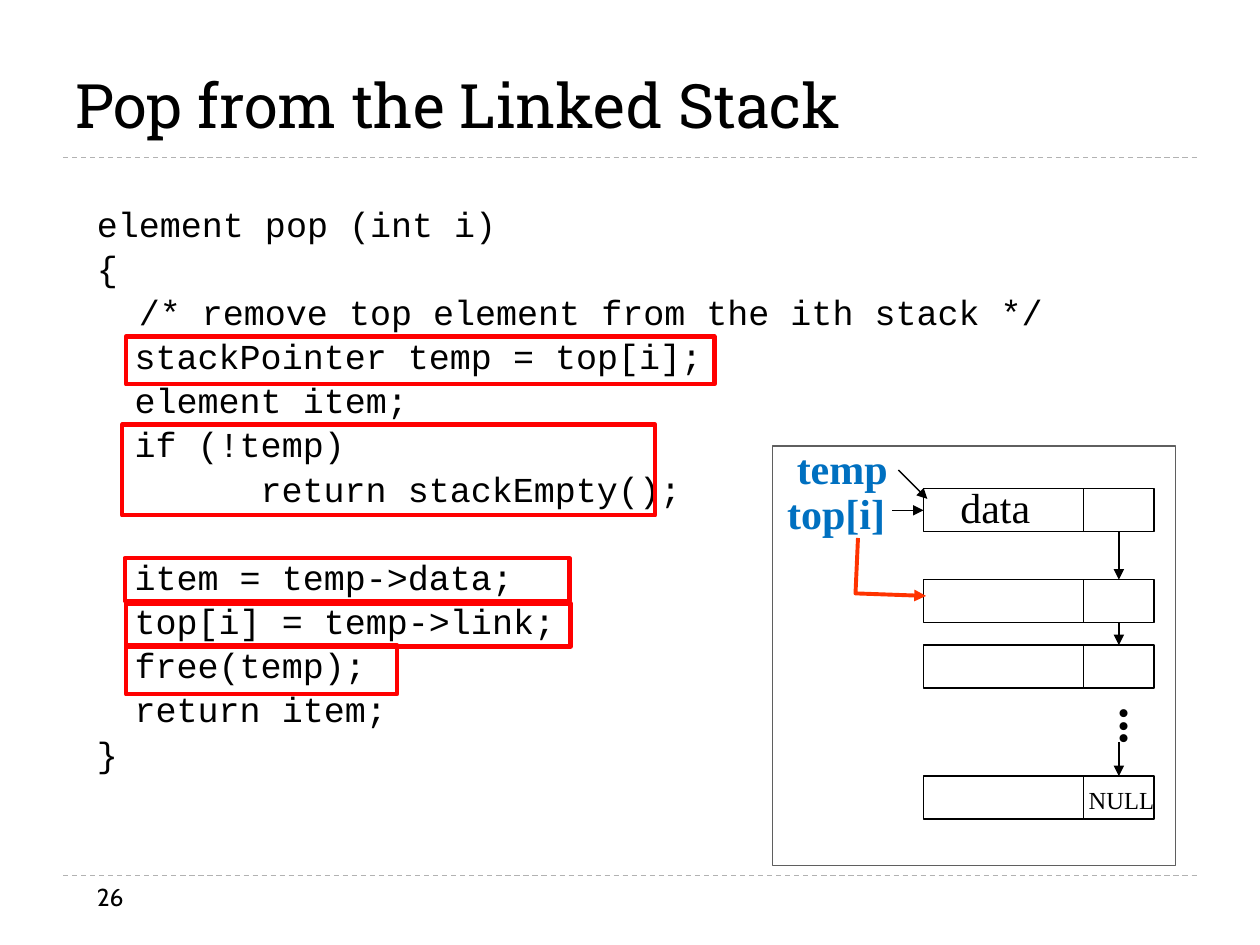
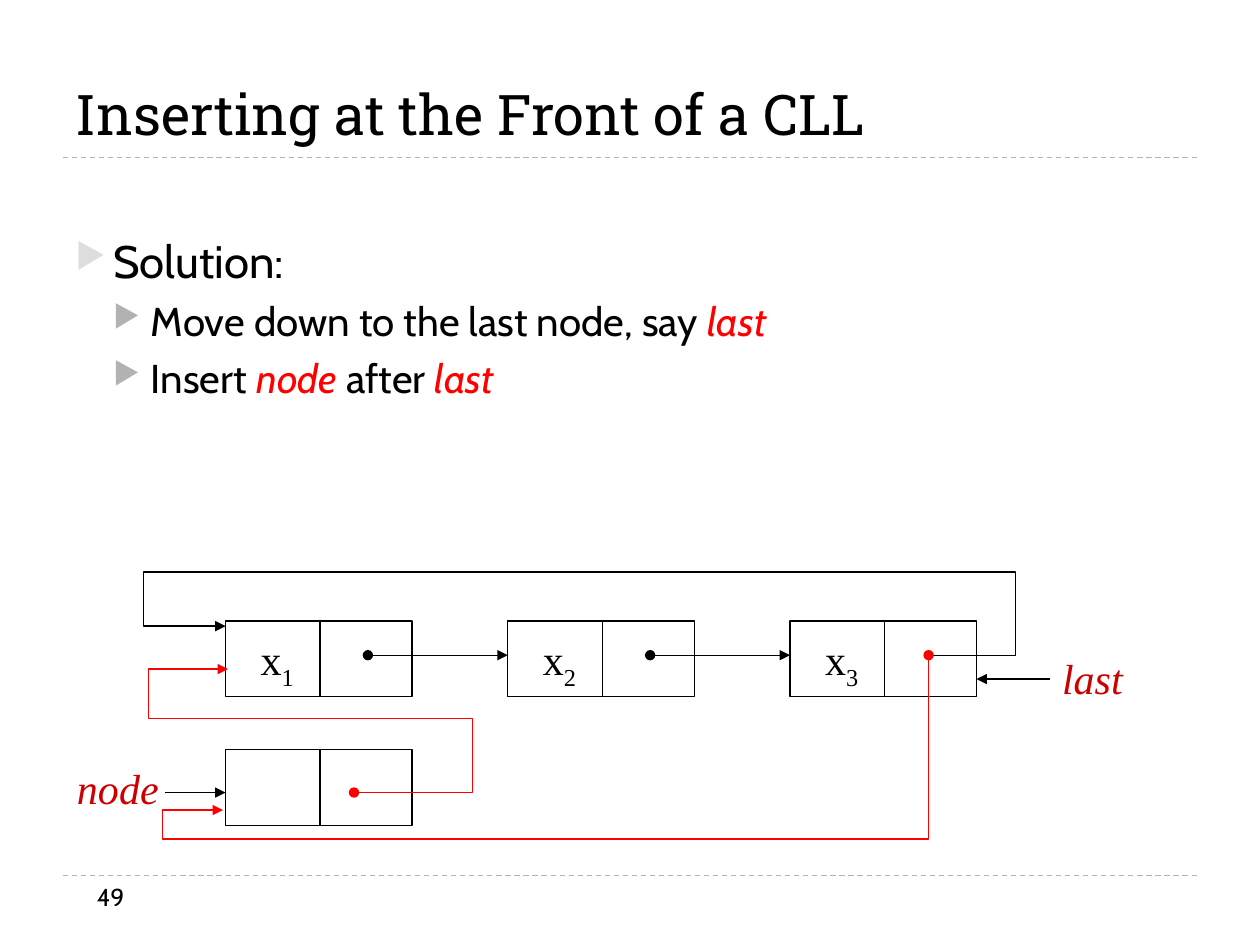
from dataclasses import dataclass
from itertools import pairwise

from lxml import etree
from pptx import Presentation
from pptx.dml.color import RGBColor
from pptx.enum import dml, shapes, text
from pptx.oxml import ns
from pptx.util import Emu, Inches, Pt

COLORS = {
    "ink": "000000", "rule": "B2B2B2", "frame": "5F5F5F", "pale": "DDDDDD",
    "red": "FF0000", "orange": "FF3300", "blue": "0070C0", "crimson": "CC0000",
}
TITLE, BODY, CODE, SERIF = "Roboto Slab", "Cabin", "Courier New", "Times New Roman"

prs = Presentation()
prs.slide_width, prs.slide_height = Inches(10), Inches(7.5)
COL, ROW = prs.slide_width / 100, prs.slide_height / 75  # grid of 100 by 75


@dataclass
class Box:
    col: float
    row: float
    cols: float
    rows: float

    def emu(self) -> list[Emu]:
        return [Emu(round(n)) for n in
                (self.col * COL, self.row * ROW, self.cols * COL, self.rows * ROW)]


@dataclass
class Run:
    text: str
    size: float
    font: str
    color: str = "ink"
    bold: bool = False
    italic: bool = False
    subscript: bool = False


@dataclass
class Para:
    runs: list[Run]
    before: float = 0
    spacing: float = 1.0
    margin: float = 0  # columns
    hang: float = 0  # columns
    bullet: str = ""  # bullet colour


@dataclass
class Stroke:
    color: str = "ink"
    width: float = 0.75
    head: str = ""
    tail: str = ""
    dash: bool = False


ARROW = Stroke(tail="triangle")


def rgb(name: str) -> RGBColor:
    return RGBColor.from_string(COLORS[name])


def sub(parent, tag: str, **attrs: str):
    return etree.SubElement(parent, ns.qn(tag), attrs)


# Lines and shapes
def stroke(sp, st: Stroke) -> None:
    sp.line.color.rgb = rgb(st.color)
    sp.line.width = Pt(st.width)
    if st.dash:
        sp.line.dash_style = dml.MSO_LINE.DASH
    ln = sp.line._get_or_add_ln()
    for tag, kind in (("a:headEnd", st.head), ("a:tailEnd", st.tail)):
        if kind:
            sub(ln, tag, type=kind)


def rect(s, box: Box, st: Stroke = Stroke()):
    sp = s.shapes.add_shape(shapes.MSO_SHAPE.RECTANGLE, *box.emu())
    sp.shadow.inherit = False
    sp.fill.background()
    stroke(sp, st)
    return sp


def line(s, start: tuple, end: tuple, st: Stroke = Stroke(), begin_at=None, end_at=None):
    points = [Emu(round(n)) for c, r in (start, end) for n in (c * COL, r * ROW)]
    sp = s.shapes.add_connector(shapes.MSO_CONNECTOR.STRAIGHT, *points)
    if begin_at:
        sp.begin_connect(*begin_at)
    if end_at:
        sp.end_connect(*end_at)
    stroke(sp, st)
    sub(sp._element.spPr, "a:effectLst")
    return sp


def path(s, points: list[tuple], st: Stroke) -> None:
    dots = [(round(c * COL), round(r * ROW)) for c, r in points]
    fb = s.shapes.build_freeform(*dots[0])
    fb.add_line_segments(dots[1:], close=False)
    sp = fb.convert_to_shape()
    sp.shadow.inherit = False
    sp.fill.background()
    stroke(sp, st)


# Text
def write(p, para: Para) -> None:
    formats = {"space_before": Pt(para.before), "line_spacing": para.spacing}
    for name, value in formats.items():
        setattr(p, name, value)
    pPr = p._p.get_or_add_pPr()
    pPr.set("marL", str(round(para.margin * COL)))
    pPr.set("indent", str(round(-para.hang * COL)))
    if para.bullet:
        sub(sub(pPr, "a:buClr"), "a:srgbClr", val=COLORS[para.bullet])
        sub(pPr, "a:buSzPct", val="76000")
        sub(pPr, "a:buChar", char="▶")
    for run in para.runs:
        r = p.add_run()
        r.text = run.text
        formats = {"size": Pt(run.size), "name": run.font,
                   "bold": run.bold, "italic": run.italic}
        for name, value in formats.items():
            setattr(r.font, name, value)
        r.font.color.rgb = rgb(run.color)
        if run.subscript:
            r.font._element.set("baseline", "-25000")


def text_box(s, box: Box, paras: list[Para], anchor=text.MSO_ANCHOR.TOP):
    sp = s.shapes.add_textbox(*box.emu())
    tf = sp.text_frame
    tf.word_wrap = True
    tf.vertical_anchor = anchor
    for i, para in enumerate(paras):
        write(tf.add_paragraph() if i else tf.paragraphs[0], para)
    return sp


def label(s, box: Box, *runs: Run):
    sp = text_box(s, box, [Para(list(runs))])
    tf = sp.text_frame
    tf.word_wrap = False
    tf.auto_size = text.MSO_AUTO_SIZE.SHAPE_TO_FIT_TEXT
    tf.paragraphs[0].alignment = text.PP_ALIGN.CENTER
    return sp


def new_slide(title: str, size: float, title_box: Box, number: int):
    s = prs.slides.add_slide(prs.slide_layouts[6])
    for row in (69.5, 12.5):
        line(s, (5, row), (95, row), Stroke("rule", dash=True))
    text_box(s, title_box, [Para([Run(title, size, TITLE)])], text.MSO_ANCHOR.BOTTOM)
    text_box(s, Box(6.7, 69.5, 21.7, 4), [Para([Run(str(number), 14, BODY)])])
    return s


# Slide 1: pop
CODE_LINES = [  # text, margin in columns, space before
    ("element pop (int i)", 0, 6),
    ("{", 0, 6),
    ("/* remove top element from the ith stack */", 3.33, 6),
    ("stackPointer temp = top[i];", 3, 6),
    ("element item;", 3, 6),
    ("if (!temp)", 3, 6),
    ("return stackEmpty();", 13, 6),
    ("item = temp->data;", 3, 31.25),
    ("top[i] = temp->link;", 3, 6),
    ("free(temp);", 3, 6),
    ("return item;", 3, 6),
    ("}", 0, 6),
]
HIGHLIGHTS = [
    Box(10, 26.7, 46.7, 3.8), Box(10, 47.9, 35.3, 3.4), Box(10, 51.2, 21.5, 3.9),
    Box(9.7, 33.7, 42.3, 7.2), Box(9.9, 44.3, 35.3, 3.4),
]


def pop_slide() -> None:
    s = new_slide("Pop from the Linked Stack", 35, Box(5, 2.2, 90, 9.5), 26)
    text_box(s, Box(6.7, 16.2, 78.8, 48.5),
             [Para([Run(code, 20, CODE)], before, 0.8, margin)
              for code, margin, before in CODE_LINES])

    # Stack cells and their links
    rect(s, Box(61.3, 35.4, 32, 33.3), Stroke("frame"))
    data_cells, link_cells = [], []
    for row in (38.8, 46, 51.2, 61.6):
        data_cells.append(rect(s, Box(73.3, row, 12.7, 3.4)))
        link_cells.append(rect(s, Box(86, row, 5.6, 3.4)))
    for upper, lower in pairwise(link_cells[:3]):
        line(s, (0, 0), (0, 0), ARROW, (upper, 2), (lower, 0))
    line(s, (88.8, 58.9), (88.8, 61.6), ARROW, end_at=(link_cells[3], 0))

    # Labels and pointers
    label(s, Box(85.4, 61.8, 7.2, 3.3), Run("NULL", 14, SERIF))
    dots = label(s, Box(86.6, 55.2, 6.7, 3.9), Run("...", 28, SERIF, bold=True))
    dots.text_frame._txBody.bodyPr.set("vert", "eaVert")
    label(s, Box(75.2, 37.7, 7.6, 5), Run("data", 24, SERIF))
    for name, box in (("top[i]", Box(61.4, 38.2, 9.9, 5)),
                      ("temp", Box(62.2, 34.6, 9.3, 5))):
        label(s, box, Run(name, 24, SERIF, "blue", bold=True))
    line(s, (70.8, 40.5), (73.3, 40.5), ARROW, end_at=(data_cells[0], 1))
    line(s, (71.3, 37.3), (73.6, 39.6), ARROW)
    path(s, [(68.1, 42.7), (67.9, 47.1), (73.5, 47.3)],
         Stroke("orange", 2.25, tail="triangle"))

    for box in HIGHLIGHTS:
        rect(s, box, Stroke("red", 2.5))


# Slide 2: circular list
FIRST, PITCH = 17.9, 22.4


def node(s, col: float, row: float) -> None:
    rect(s, Box(col, row, 14.8, 6))
    line(s, (col + 7.5, row), (col + 7.5, row + 6))


def insert_slide() -> None:
    s = new_slide("Inserting at the Front of a CLL", 32, Box(5, 1.3, 81.1, 10.8), 49)

    def step(*parts: tuple) -> Para:
        runs = [Run(words, 23, BODY, "red" if name else "ink", italic=name)
                for words, name in parts]
        return Para(runs, 5, margin=6, hang=3, bullet="rule")

    text_box(s, Box(5, 18, 90, 20.2), [
        Para([Run("Solution:", 26, BODY)], 6, margin=3, hang=3, bullet="pale"),
        step(("Move down to the last node, say ", False), ("last", True)),
        step(("Insert ", False), ("node", True), (" after ", False), ("last", True)),
    ])

    # Nodes
    for i in range(3):
        col = FIRST + i * PITCH
        node(s, col, 49.3)
        label(s, Box(col + 1.7, 49.8, 4.8, 5), Run("x", 24, SERIF),
              Run(str(i + 1), 24, SERIF, subscript=True))
        if i < 2:
            line(s, (col + 11.3, 52), (col + PITCH, 52),
                 Stroke(head="oval", tail="triangle"))
    node(s, FIRST, 59.5)

    # Named pointers
    for name, box in (("last", Box(83.3, 51.3, 6.8, 5)), ("node", Box(5.1, 60, 8.5, 5))):
        label(s, box, Run(name, 24, SERIF, "crimson", italic=True))
    line(s, (77.5, 53.9), (83.3, 53.9), Stroke(head="triangle"))
    line(s, (13.1, 62.9), (FIRST, 62.9), ARROW)

    # Old and new links
    path(s, [(73.5, 52), (80.6, 52), (80.6, 45.4), (11.4, 45.4), (11.4, 49.7),
             (FIRST, 49.7)], ARROW)
    path(s, [(28.1, 62.9), (37.5, 62.9), (37.5, 57), (11.8, 57), (11.8, 53.1),
             (18.1, 53.1)], Stroke("red", 0.75, "oval", "triangle"))
    path(s, [(73.7, 52), (73.7, 66.6), (12.9, 66.6), (12.9, 64.3), (17.7, 64.3)],
         Stroke("red", 1, "oval", "triangle"))


def main() -> None:
    pop_slide()
    insert_slide()
    prs.save("out.pptx")


if __name__ == "__main__":
    main()
